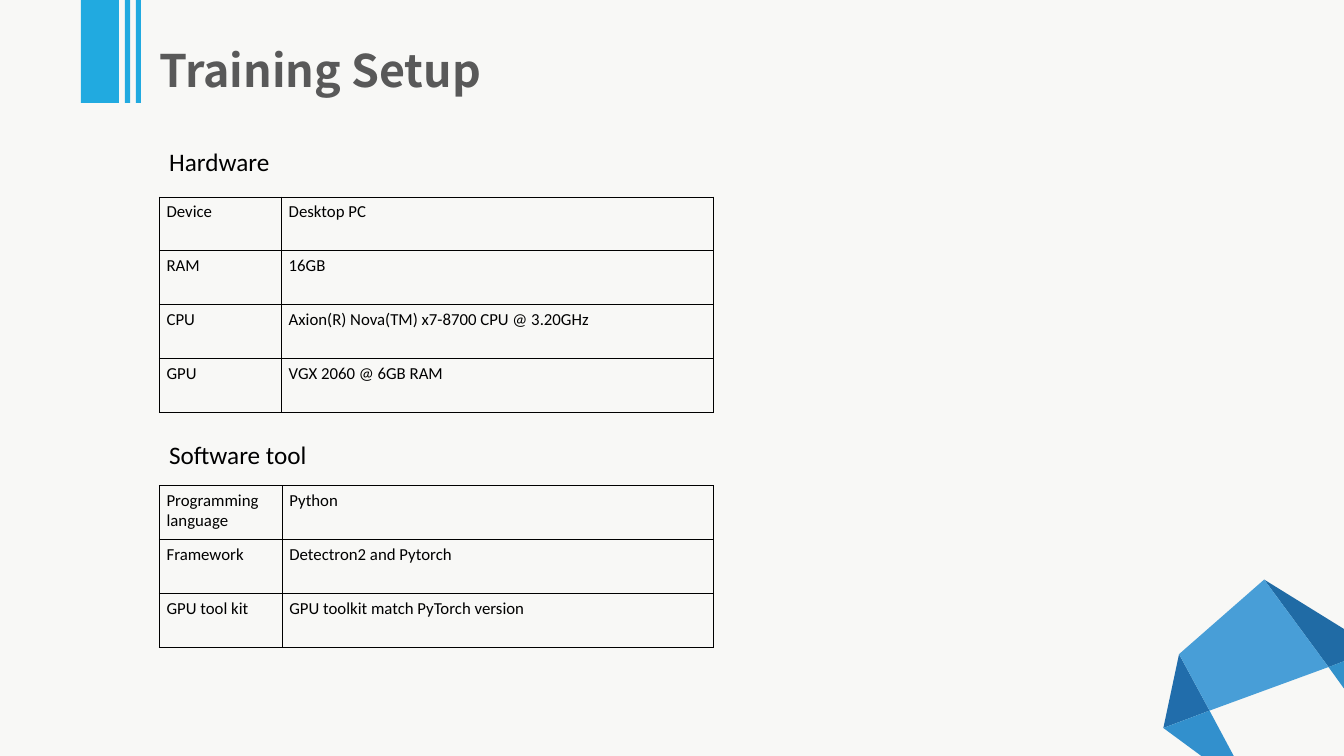
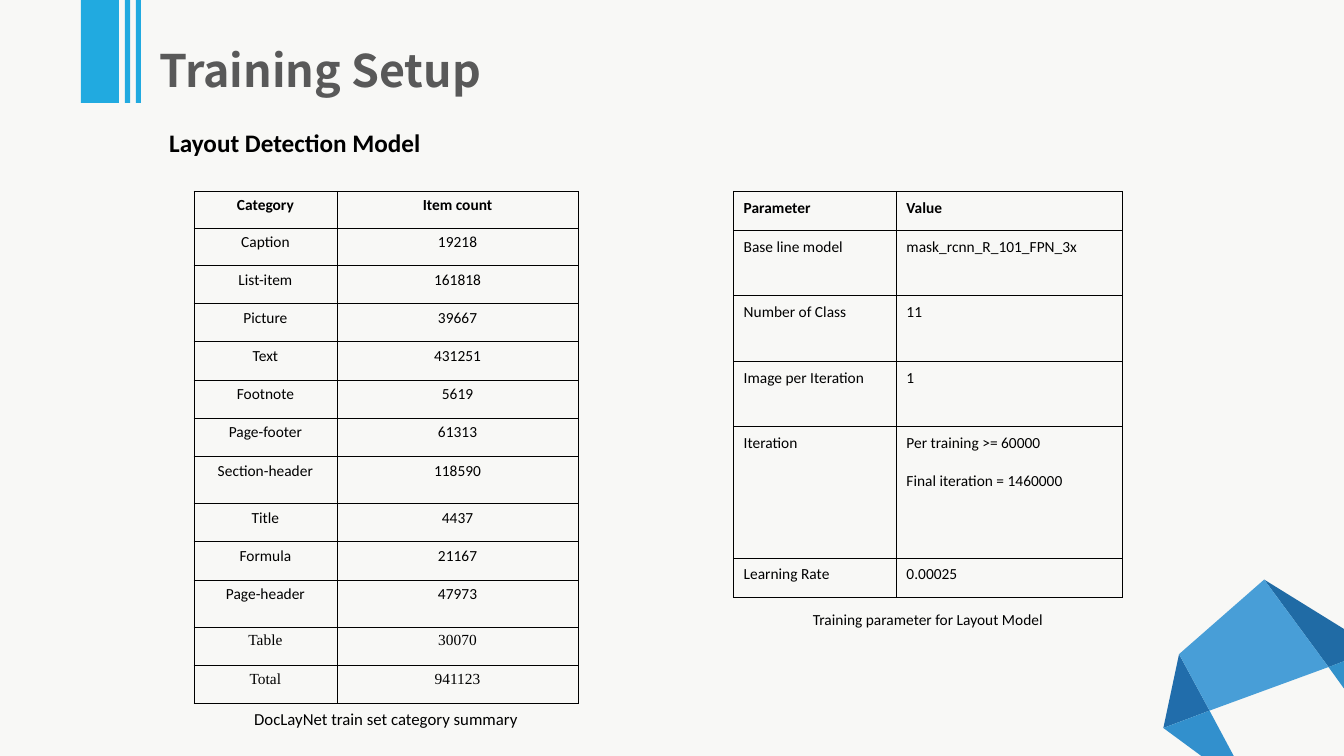
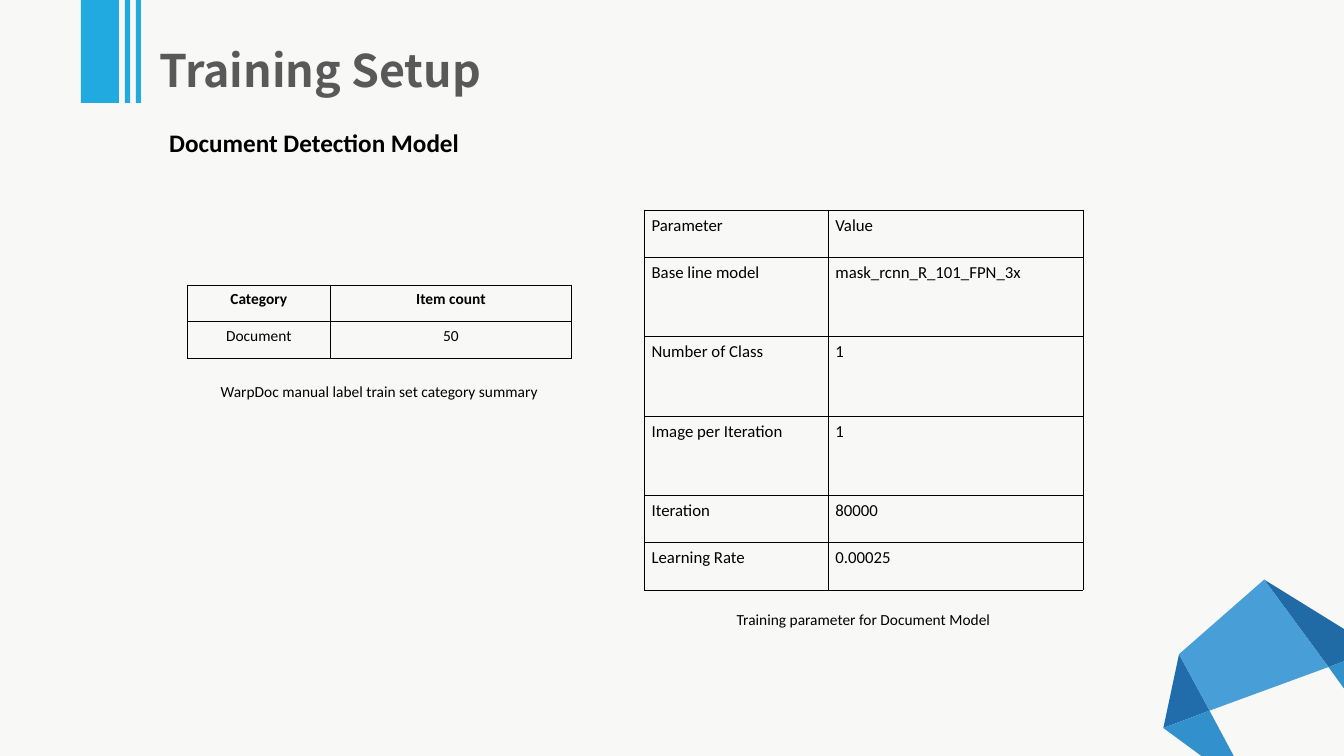
from lxml import etree
from pptx import Presentation
from pptx.dml.color import RGBColor
from pptx.enum.shapes import MSO_SHAPE
from pptx.enum.text import MSO_ANCHOR, MSO_AUTO_SIZE, PP_ALIGN
from pptx.oxml.ns import qn
from pptx.util import Pt

PAPER = RGBColor(0xF8, 0xF8, 0xF6)
BLACK = RGBColor(0, 0, 0)
GREY = RGBColor(0x59, 0x59, 0x59)
BAND = RGBColor(0x21, 0xAA, 0xE0)
FOLD_LEFT = RGBColor(0x21, 0x6D, 0xAB)
FOLD_RIGHT = RGBColor(0x20, 0x6B, 0xA5)
TAIL_LEFT = RGBColor(0x32, 0x90, 0xCD)
TAIL_RIGHT = RGBColor(0x32, 0x91, 0xCA)
FACE = RGBColor(0x48, 0x9E, 0xD7)

BODY, SERIF, HEAD = "Calibri", "Times New Roman", "Noto Sans CJK SC"
WIDTH, HEIGHT = 960, 540
LEFT = 113.75
CAPTION_WIDTH = 288
THIN, WIDE = (5.25, 3.6), (7.2, 5.25)

BARS = [(57.75, 27.25), (89.25, 3.75), (97, 3.75)]
BAR_HEIGHT = 73.5
APEX, SHOULDER, TIP = (903, 414), (842.2, 467.3), (831, 520)
INNER_LEFT, INNER_RIGHT = (864, 507.6), (949, 476.5)
EDGE = (WIDTH, 472.3)
FACETS = [
    (FOLD_LEFT, [TIP, SHOULDER, INNER_LEFT]),
    (FOLD_RIGHT, [INNER_RIGHT, APEX, (WIDTH, 449.3), EDGE]),
    (TAIL_LEFT, [(881.3, HEIGHT), (858.2, HEIGHT), TIP, INNER_LEFT]),
    (FACE, [INNER_LEFT, SHOULDER, APEX, INNER_RIGHT]),
    (TAIL_RIGHT, [(WIDTH, 491.8), INNER_RIGHT, EDGE]),
]

HARDWARE = dict(
    at=(LEFT, 140.6), cols=(87.25, 308.5), heights=[38.5] * 4,
    rows=[("Device", "Desktop PC"), ("RAM", "16GB"),
          ("CPU", "Axion(R) Nova(TM) x7-8700 CPU @ 3.20GHz"),
          ("GPU", "VGX 2060 @ 6GB RAM")])
SOFTWARE = dict(
    at=(LEFT, 346.8), cols=(87.75, 308), heights=[38.5] * 3,
    rows=[("Programming language", "Python"),
          ("Framework", "Detectron2 and Pytorch"),
          ("GPU tool kit", "GPU toolkit match PyTorch version")])
COUNT_STYLE = dict(cols=(102.2, 172.3), size=11, bold_head=True,
                   align=PP_ALIGN.CENTER)
LAYOUT_COUNTS = dict(
    COUNT_STYLE, at=(138.5, 136.5), serif_rows=2,
    heights=[26.5] * 2 + [27.3] * 5 + [33.7] + [27.3] * 2 + [33.7] + [27.3] * 2,
    rows=[("Category", "Item count"), ("Caption", "19218"),
          ("List-item", "161818"), ("Picture", "39667"), ("Text", "431251"),
          ("Footnote", "5619"), ("Page-footer", "61313"),
          ("Section-header", "118590"), ("Title", "4437"),
          ("Formula", "21167"), ("Page-header", "47973"),
          ("Table", "30070"), ("Total", "941123")],
    caption=("DocLayNet train set category summary", 12, 0))
LAYOUT_PARAMS = dict(
    at=(524, 136.5), cols=(116.3, 161.4), size=11, bold_head=True,
    margins=WIDE, heights=[28] + [46.8] * 3 + [93.6, 28],
    rows=[("Parameter", "Value"),
          ("Base line model", "mask_rcnn_R_101_FPN_3x"),
          ("Number of Class", "11"), ("Image per Iteration", "1"),
          ("Iteration", "Per training >= 60000\nFinal iteration = 1460000"),
          ("Learning Rate", "0.00025")],
    caption=("Training parameter for Layout Model", 11, 6))
DOCUMENT_PARAMS = dict(
    at=(460.2, 150), cols=(131.3, 182),
    heights=[33.8] + [56.7] * 3 + [33.8] * 2,
    rows=[("Parameter", "Value"),
          ("Base line model", "mask_rcnn_R_101_FPN_3x"),
          ("Number of Class", "1"), ("Image per Iteration", "1"),
          ("Iteration", "80000"), ("Learning Rate", "0.00025")],
    caption=("Training parameter for Document Model", 11, 10.5))
DOCUMENT_COUNTS = dict(
    COUNT_STYLE, at=(133.8, 203.6), heights=[26.2] * 2,
    rows=[("Category", "Item count"), ("Document", "50")],
    caption=("WarpDoc manual label train set category summary", 11, 13.5))

TITLE = "Training Setup"
SLIDES = [
    ([("Hardware", 100.8, False), ("Software tool", 310.3, False)],
     [HARDWARE, SOFTWARE]),
    ([("Layout Detection Model", 87.1, True)], [LAYOUT_COUNTS, LAYOUT_PARAMS]),
    ([("Document Detection Model", 87.1, True)],
     [DOCUMENT_PARAMS, DOCUMENT_COUNTS]),
]


def style(tf, size, font=BODY, color=BLACK, bold=False, align=PP_ALIGN.LEFT):
    for p in tf.paragraphs:
        p.alignment = align
        for r in p.runs:
            r.font.size, r.font.name, r.font.bold = Pt(size), font, bold
            r.font.color.rgb = color


def add_text(slide, text, x, y, w, size, **look):
    tf = slide.shapes.add_textbox(Pt(x), Pt(y), Pt(w), Pt(size + 11)).text_frame
    tf.word_wrap = True
    tf.text = text
    style(tf, size, **look)


def add_title(slide):
    sp = slide.shapes.title
    sp.left, sp.top, sp.width, sp.height = Pt(LEFT), Pt(30.25), Pt(490), Pt(39)
    tf = sp.text_frame
    tf.margin_left = tf.margin_top = tf.margin_right = tf.margin_bottom = 0
    tf.vertical_anchor = MSO_ANCHOR.MIDDLE
    tf.auto_size = MSO_AUTO_SIZE.NONE
    tf.text = TITLE
    style(tf, 32, HEAD, GREY, True)


def add_borders(cell):
    tcPr = cell._tc.get_or_add_tcPr()
    for side in ("a:lnL", "a:lnR", "a:lnT", "a:lnB"):
        ln = etree.SubElement(tcPr, qn(side), w=str(Pt(0.5)))
        fill = etree.SubElement(ln, qn("a:solidFill"))
        etree.SubElement(fill, qn("a:srgbClr"), val=str(BLACK))


def add_table(slide, at, cols, heights, rows, size=12, bold_head=False,
              align=PP_ALIGN.JUSTIFY, margins=THIN, serif_rows=0, caption=None):
    x, y = at
    w, h = sum(cols), sum(heights)
    table = slide.shapes.add_table(len(rows), len(cols), Pt(x), Pt(y),
                                   Pt(w), Pt(h)).table
    table.first_row = table.horz_banding = False
    for column, width in zip(table.columns, cols):
        column.width = Pt(width)
    for i, (row, height, texts) in enumerate(zip(table.rows, heights, rows)):
        row.height = Pt(height)
        font = SERIF if i >= len(rows) - serif_rows else BODY
        for cell, text in zip(row.cells, texts):
            cell.margin_left = cell.margin_right = Pt(margins[0])
            cell.margin_top = cell.margin_bottom = Pt(margins[1])
            cell.text = text
            style(cell.text_frame, size, font, bold=bold_head and i == 0,
                  align=align)
            for p in cell.text_frame.paragraphs[1:]:
                p.space_before = Pt(13.5)
            add_borders(cell)
            cell.fill.background()
    if caption:
        text, caption_size, gap = caption
        add_text(slide, text, x + (w - CAPTION_WIDTH) / 2, y + h + gap,
                 CAPTION_WIDTH, caption_size, align=PP_ALIGN.CENTER)


def decorate(layout, slide):
    parts = []
    for color, points in FACETS:
        start, *rest = [(Pt(x), Pt(y)) for x, y in points]
        builder = slide.shapes.build_freeform(*start)
        builder.add_line_segments(rest, close=True)
        parts.append((builder.convert_to_shape(), color))
    for x, w in BARS:
        parts.append((slide.shapes.add_shape(
            MSO_SHAPE.RECTANGLE, Pt(x), 0, Pt(w), Pt(BAR_HEIGHT)), BAND))
    for i, (sp, color) in enumerate(parts):
        sp.shadow.inherit = False
        sp.fill.solid()
        sp.fill.fore_color.rgb = color
        sp.line.fill.background()
        sp.element.nvSpPr.cNvPr.id = 100 + i
        layout.shapes.element.append(sp.element)


def main():
    prs = Presentation()
    prs.slide_width, prs.slide_height = Pt(WIDTH), Pt(HEIGHT)
    fill = prs.slide_master.background.fill
    fill.solid()
    fill.fore_color.rgb = PAPER
    layout = prs.slide_layouts[5]
    for i, (headings, tables) in enumerate(SLIDES):
        slide = prs.slides.add_slide(layout)
        if i == 0:
            decorate(layout, slide)
        add_title(slide)
        for text, y, bold in headings:
            add_text(slide, text, LEFT, y, 730, 18, bold=bold)
        for table in tables:
            add_table(slide, **table)
    prs.save("out.pptx")


if __name__ == "__main__":
    main()
